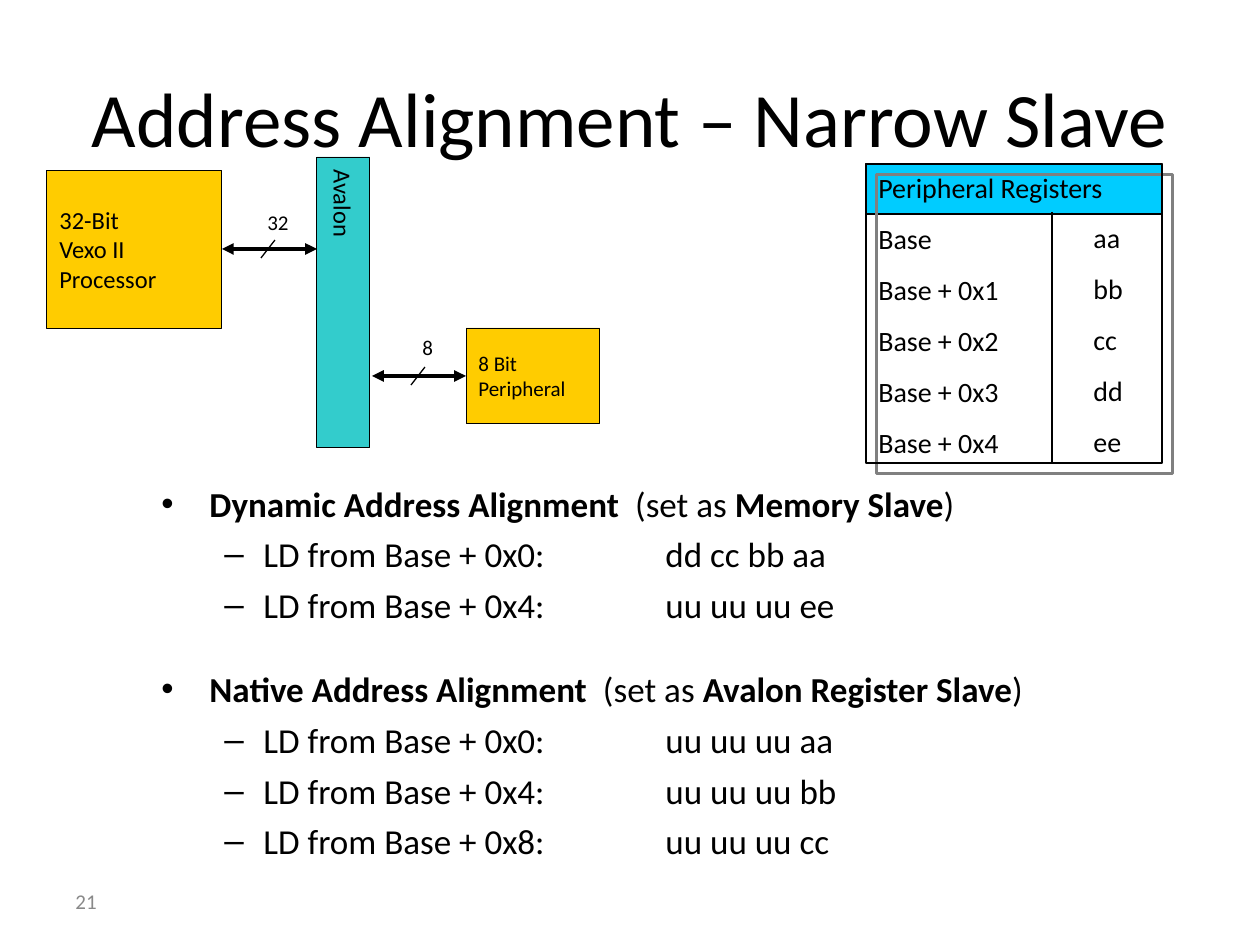
from dataclasses import dataclass
from typing import Optional

from lxml.etree import SubElement
from pptx import Presentation
from pptx.dml.color import RGBColor
from pptx.enum.shapes import MSO_CONNECTOR, MSO_SHAPE
from pptx.enum.text import MSO_ANCHOR, PP_ALIGN
from pptx.oxml.ns import qn
from pptx.util import Emu, Pt

FONT = "Calibri"
BLACK = RGBColor(0x00, 0x00, 0x00)
GREY = RGBColor(0x89, 0x89, 0x89)
AMBER = RGBColor(0xFF, 0xCC, 0x00)
TEAL = RGBColor(0x33, 0xCC, 0xCC)
SKY = RGBColor(0x00, 0xCC, 0xFF)
SHADOW = RGBColor(0x80, 0x80, 0x80)


def px(n: int) -> Emu:
    return Emu(round(n * 914400 / 126))


@dataclass
class Box:
    x: int
    y: int
    w: int
    h: int
    fill: Optional[RGBColor] = None
    text: str = ""
    size: int = 14
    line: float = 0.5

    def frame(self) -> tuple:
        return px(self.x), px(self.y), px(self.w), px(self.h)


@dataclass
class Bus:
    x1: int
    x2: int
    y: int
    label: Box


@dataclass
class Section:
    name: str
    slave: str
    loads: list


PROCESSOR = Box(47, 170, 175, 158, AMBER, "32-Bit\vVexo II Processor")
PERIPHERAL = Box(466, 328, 134, 96, AMBER, "8 Bit Peripheral", 12)
BAR = Box(317, 157, 53, 291, TEAL, "Avalon")
BUSES = [
    Bus(222, 317, 249, Box(255, 203, 55, 38, text="32", size=12)),
    Bus(372, 466, 376, Box(410, 328, 55, 38, text="8", size=12)),
]
HEADER = Box(866, 164, 296, 50, SKY, line=1.5)
REG_FRAME = Box(866, 164, 296, 299, line=1.5)
REG_NAMES = Box(866, 164, 296, 302, size=16, text="\n".join(
    ["Peripheral Registers", "Base"] + [f"Base + 0x{i}" for i in range(1, 5)]))
REG_VALUES = Box(1081, 214, 81, 251, size=16, text="aa\nbb\ncc\ndd\nee")
PAGE = Box(63, 876, 294, 50, text="21", size=12)
BODY = Box(149, 476, 1038, 441)
SECTIONS = [
    Section("Dynamic Address Alignment", "Memory Slave",
            [("0x0", "dd cc bb aa"), ("0x4", "uu uu uu ee")]),
    Section("Native Address Alignment", "Avalon Register Slave",
            [("0x0", "uu uu uu aa"), ("0x4", "uu uu uu bb"), ("0x8", "uu uu uu cc")]),
]


def style(font, size: int, color: RGBColor = BLACK) -> None:
    font.name, font.size, font.color.rgb = FONT, Pt(size), color


def write(tf, box: Box, color: RGBColor = BLACK) -> None:
    tf.word_wrap = True
    tf.text = box.text
    for i, p in enumerate(tf.paragraphs):
        p.alignment = PP_ALIGN.LEFT
        if i:
            p.space_before = Pt(10)
        for r in p.runs:
            style(r.font, box.size, color)


def add_rect(s, box: Box):
    sp = s.shapes.add_shape(MSO_SHAPE.RECTANGLE, *box.frame())
    sp.shadow.inherit = False
    if box.fill is None:
        sp.fill.background()
    else:
        sp.fill.solid()
        sp.fill.fore_color.rgb = box.fill
    sp.line.color.rgb = BLACK
    sp.line.width = Pt(box.line)
    if box.text:
        write(sp.text_frame, box)
        sp.text_frame.vertical_anchor = MSO_ANCHOR.MIDDLE
    return sp


def add_text(s, box: Box, color: RGBColor = BLACK):
    sp = s.shapes.add_textbox(*box.frame())
    write(sp.text_frame, box, color)
    return sp


def add_line(s, x1: int, y1: int, x2: int, y2: int, width: float, arrows: bool = False):
    ln = s.shapes.add_connector(MSO_CONNECTOR.STRAIGHT, px(x1), px(y1), px(x2), px(y2))
    ln.line.color.rgb = BLACK
    ln.line.width = Pt(width)
    if arrows:
        for end in ("a:headEnd", "a:tailEnd"):
            SubElement(ln.line._ln, qn(end), type="triangle")
    SubElement(ln._element.spPr, qn("a:effectLst"))
    return ln


def add_bus(s, bus: Bus):
    ln = add_line(s, bus.x1, bus.y, bus.x2, bus.y, 2.25, arrows=True)
    add_line(s, bus.x1 + 39, bus.y + 9, bus.x1 + 53, bus.y - 9, 0.75)
    add_text(s, bus.label)
    return ln


def add_bullet(p, char: str, indent: int, hang: int) -> None:
    pPr = p._p.get_or_add_pPr()
    pPr.set("marL", str(px(indent)))
    pPr.set("indent", str(-px(hang)))
    SubElement(pPr, qn("a:buFont"), typeface="Arial")
    SubElement(pPr, qn("a:buChar"), char=char)
    tabs = SubElement(pPr, qn("a:tabLst"))
    SubElement(tabs, qn("a:tab"), pos=str(px(504)), algn="l")


def add_sections(s) -> None:
    tf = s.shapes.add_textbox(*BODY.frame()).text_frame
    tf.word_wrap = True
    for i, sec in enumerate(SECTIONS):
        p = tf.add_paragraph() if i else tf.paragraphs[0]
        if i:
            p.space_before = Pt(24)
        add_bullet(p, "•", 48, 48)
        parts = [sec.name, "  (set as ", sec.slave, ")"]
        for n, part in enumerate(parts):
            r = p.add_run()
            r.text = part
            style(r.font, 20)
            r.font.bold = n % 2 == 0
        for offset, value in sec.loads:
            p = tf.add_paragraph()
            p.level = 1
            p.space_before = Pt(5)
            add_bullet(p, "–", 102, 39)
            r = p.add_run()
            r.text = f"LD from Base + {offset}:\t{value}"
            style(r.font, 20)


def main() -> None:
    prs = Presentation()
    prs.slide_width, prs.slide_height = px(1260), px(945)
    s = prs.slides.add_slide(prs.slide_layouts[5])

    # Page number and register header band
    page = add_text(s, PAGE, GREY)
    page.text_frame.vertical_anchor = MSO_ANCHOR.MIDDLE
    add_rect(s, HEADER)

    # Title
    title = s.shapes.title
    title.left, title.top, title.width, title.height = Box(63, 38, 1134, 158).frame()
    title.text_frame.text = "Address Alignment – Narrow Slave"
    title.text_frame.vertical_anchor = MSO_ANCHOR.MIDDLE
    p = title.text_frame.paragraphs[0]
    p.alignment = PP_ALIGN.CENTER
    style(p.runs[0].font, 44)

    # Alignment modes
    add_sections(s)

    # Block diagram
    processor = add_rect(s, PROCESSOR)
    peripheral = add_rect(s, PERIPHERAL)
    bar = add_rect(s, BAR)
    bar.text_frame.paragraphs[0].alignment = PP_ALIGN.CENTER
    bar.text_frame._txBody.bodyPr.set("vert", "eaVert")
    wide, narrow = [add_bus(s, bus) for bus in BUSES]
    wide.begin_connect(processor, 3)
    narrow.end_connect(peripheral, 1)

    # Register map
    add_text(s, REG_NAMES)
    add_text(s, REG_VALUES)
    frame = add_rect(s, REG_FRAME)
    effects = frame._element.spPr.find(qn("a:effectLst"))
    shadow = SubElement(effects, qn("a:outerShdw"), dist=str(Pt(8.5)), dir="2700000",
                        algn="ctr", rotWithShape="0")
    SubElement(shadow, qn("a:srgbClr"), val=str(SHADOW))
    add_line(s, 1052, 212, 1052, 463, 1.5)

    prs.save("out.pptx")


if __name__ == "__main__":
    main()
